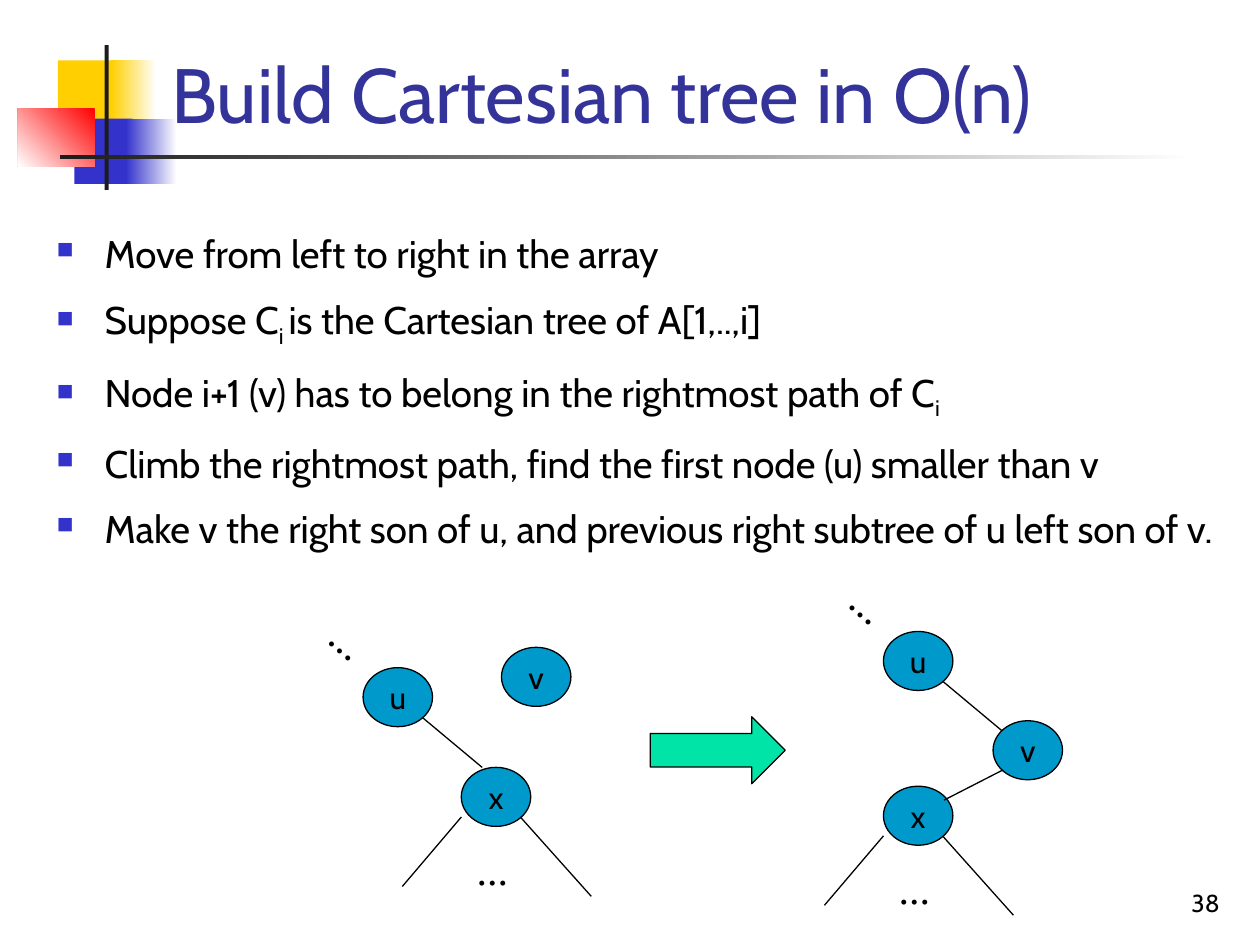
from lxml.etree import SubElement
from pptx import Presentation
from pptx.dml.color import RGBColor
from pptx.enum.shapes import MSO_CONNECTOR, MSO_SHAPE as Shape
from pptx.enum.text import MSO_ANCHOR as Anchor, PP_ALIGN as Align
from pptx.oxml.ns import qn
from pptx.util import Cm, Pt

BLACK = RGBColor(0x00, 0x00, 0x00)
WHITE = RGBColor(0xFF, 0xFF, 0xFF)
CHARCOAL = RGBColor(0x1C, 0x1C, 0x1C)
YELLOW = RGBColor(0xFF, 0xCF, 0x01)
RED = RGBColor(0xFF, 0x00, 0x00)
BLUE = RGBColor(0x33, 0x33, 0xCC)
TITLE_BLUE = RGBColor(0x33, 0x33, 0x99)
NODE_BLUE = RGBColor(0x00, 0x99, 0xCC)
ARROW_GREEN = RGBColor(0x00, 0xE4, 0xA8)

FONT = "Cabin"
DOTS_FONT = "Times New Roman"
NODE_SIZE = (1.4, 1.19)

# Each bullet is a list of (text, is subscript) spans.
BULLETS = [
    [("Move from left to right in the array", False)],
    [("Suppose C", False), ("i ", True), ("is the Cartesian tree of A[1,..,i]", False)],
    [("Node i+1 (v) has to belong in the rightmost path of C", False), ("i", True)],
    [("Climb the rightmost path, find the first node (u) smaller than v", False)],
    [("Make v the right son of u, and previous right subtree of u left son of v.", False)],
]


def set_format(target, values):
    for name, value in values.items():
        setattr(target, name, value)


def set_font(font, size, color=BLACK, name=FONT):
    set_format(font, {"name": name, "size": Pt(size)})
    font.color.rgb = color


def add_box(page, left, top, width, height, anchor=Anchor.TOP):
    box = page.shapes.add_textbox(Cm(left), Cm(top), Cm(width), Cm(height))
    set_format(box.text_frame, {"word_wrap": True, "vertical_anchor": anchor})
    return box


def add_label(page, area, text, size, color=BLACK, name=FONT,
              align=Align.LEFT, anchor=Anchor.TOP):
    box = add_box(page, *area, anchor)
    para = box.text_frame.paragraphs[0]
    set_format(para, {"text": text, "alignment": align})
    set_font(para.font, size, color, name)
    return box


def add_filled(page, kind, left, top, width, height, color):
    shape = page.shapes.add_shape(kind, Cm(left), Cm(top), Cm(width), Cm(height))
    shape.shadow.inherit = False
    shape.fill.solid()
    shape.fill.fore_color.rgb = color
    return shape


def add_outlined(page, kind, left, top, width, height, color):
    shape = add_filled(page, kind, left, top, width, height, color)
    shape.line.color.rgb = BLACK
    shape.line.width = Pt(0.75)
    return shape


def add_block(page, left, top, width, height, color, fade=None):
    """Borderless rectangle; fade is (start colour, end colour, angle)."""
    shape = add_filled(page, Shape.RECTANGLE, left, top, width, height, color)
    shape.line.fill.background()
    if fade:
        *colors, angle = fade
        shape.fill.gradient()
        shape.fill.gradient_angle = angle
        for stop, stop_color in zip(shape.fill.gradient_stops, colors):
            stop.color.rgb = stop_color


def add_line(page, x, y, start, end):
    line = page.shapes.add_connector(
        MSO_CONNECTOR.STRAIGHT, Cm(x + start[0]), Cm(y + start[1]),
        Cm(x + end[0]), Cm(y + end[1]))
    line.line.color.rgb = BLACK
    line.line.width = Pt(0.75)
    SubElement(line._element.spPr, qn("a:effectLst"))


def add_decoration(page, x, y):
    add_block(page, x + 0.81, y + 0.31, 1.22, 1.32, YELLOW)
    add_block(page, x + 1.88, y + 0.31, 0.91, 1.32, YELLOW, (WHITE, YELLOW, 180))
    add_block(page, x + 1.14, y + 1.48, 1.17, 1.32, BLUE)
    add_block(page, x + 2.18, y + 1.48, 1.02, 1.32, BLUE, (WHITE, BLUE, 180))
    add_block(page, x, y + 1.27, 1.55, 1.17, RED, (RED, WHITE, 225))
    add_block(page, x + 1.75, y, 0.08, 2.92, CHARCOAL)
    add_block(page, x + 0.86, y + 2.21, 22.86, 0.08, CHARCOAL, (WHITE, CHARCOAL, 180))


def add_bullet_mark(para):
    props = para._p.get_or_add_pPr()
    set_format_values = {"marL": Cm(0.97), "indent": -Cm(0.97)}
    for name, value in set_format_values.items():
        props.set(name, str(int(value)))
    color = SubElement(props, qn("a:buClr"))
    SubElement(color, qn("a:srgbClr"), val=str(BLUE))
    SubElement(props, qn("a:buSzPct"), val="60000")
    SubElement(props, qn("a:buChar"), char="■")


def add_bullets(page, left, top, width, height):
    frame = add_box(page, left, top, width, height).text_frame
    for index, spans in enumerate(BULLETS):
        para = frame.add_paragraph() if index else frame.paragraphs[0]
        add_bullet_mark(para)
        para.line_spacing = 1.2
        if index:
            para.space_before = Pt(5.5)
        for text, is_subscript in spans:
            span = para.add_run()
            span.text = text
            set_font(span.font, 22)
            if is_subscript:
                span._r.get_or_add_rPr().set("baseline", "-25000")


def add_node(page, x, y, name):
    node = add_outlined(page, Shape.OVAL, x, y, *NODE_SIZE, NODE_BLUE)
    set_format(node.text_frame, {"word_wrap": False, "vertical_anchor": Anchor.MIDDLE})
    para = node.text_frame.paragraphs[0]
    set_format(para, {"text": name, "alignment": Align.CENTER})
    set_font(para.font, 18)


def add_dots(page, x, y, width, rotation=0):
    box = add_label(page, (x, y, width, 1.27), "...", 24, name=DOTS_FONT,
                    align=Align.CENTER)
    box.rotation = rotation


def add_path_top(page, x, y):
    """Node u with the path above it and the edge to its right son."""
    add_dots(page, x - 1.41, y - 1.19, 2.26, 40.2)
    add_node(page, x, y, "u")
    add_line(page, x, y, (1.19, 1), (2.4, 2.01))


def add_subtree(page, x, y):
    """Node x with the two open edges below it."""
    add_node(page, x, y, "x")
    add_line(page, x, y, (0, 1), (-1.19, 2.4))
    add_line(page, x, y, (1.19, 1), (2.62, 2.6))
    add_dots(page, x - 0.58, y + 1.41, 2.41)


def add_tree_before(page, x, y):
    add_path_top(page, x, y)
    add_node(page, x + 2.79, y - 0.41, "v")
    add_subtree(page, x + 1.98, y + 2.01)


def add_tree_after(page, x, y):
    add_path_top(page, x, y)
    add_node(page, x + 2.21, y + 1.8, "v")
    add_subtree(page, x, y + 3.12)
    add_line(page, x, y, (1.22, 3.4), (2.41, 2.79))


def main():
    deck = Presentation()
    set_format(deck, {"slide_width": Cm(25.4), "slide_height": Cm(19.05)})
    page = deck.slides.add_slide(deck.slide_layouts[6])
    add_decoration(page, 0.36, 0.91)
    add_label(page, (19.56, 17.35, 5.28, 1.27), "38", 14,
              align=Align.RIGHT, anchor=Anchor.BOTTOM)
    add_label(page, (3.2, 0.58, 21.64, 2.34), "Build Cartesian tree in O(n)", 44,
              TITLE_BLUE, anchor=Anchor.BOTTOM)
    add_bullets(page, 0.89, 4.32, 24, 12.7)
    add_tree_before(page, 7.32, 13.46)
    add_outlined(page, Shape.RIGHT_ARROW, 13.11, 14.45, 2.72, 1.35, ARROW_GREEN)
    add_tree_after(page, 17.81, 12.73)
    deck.save("out.pptx")


if __name__ == "__main__":
    main()
